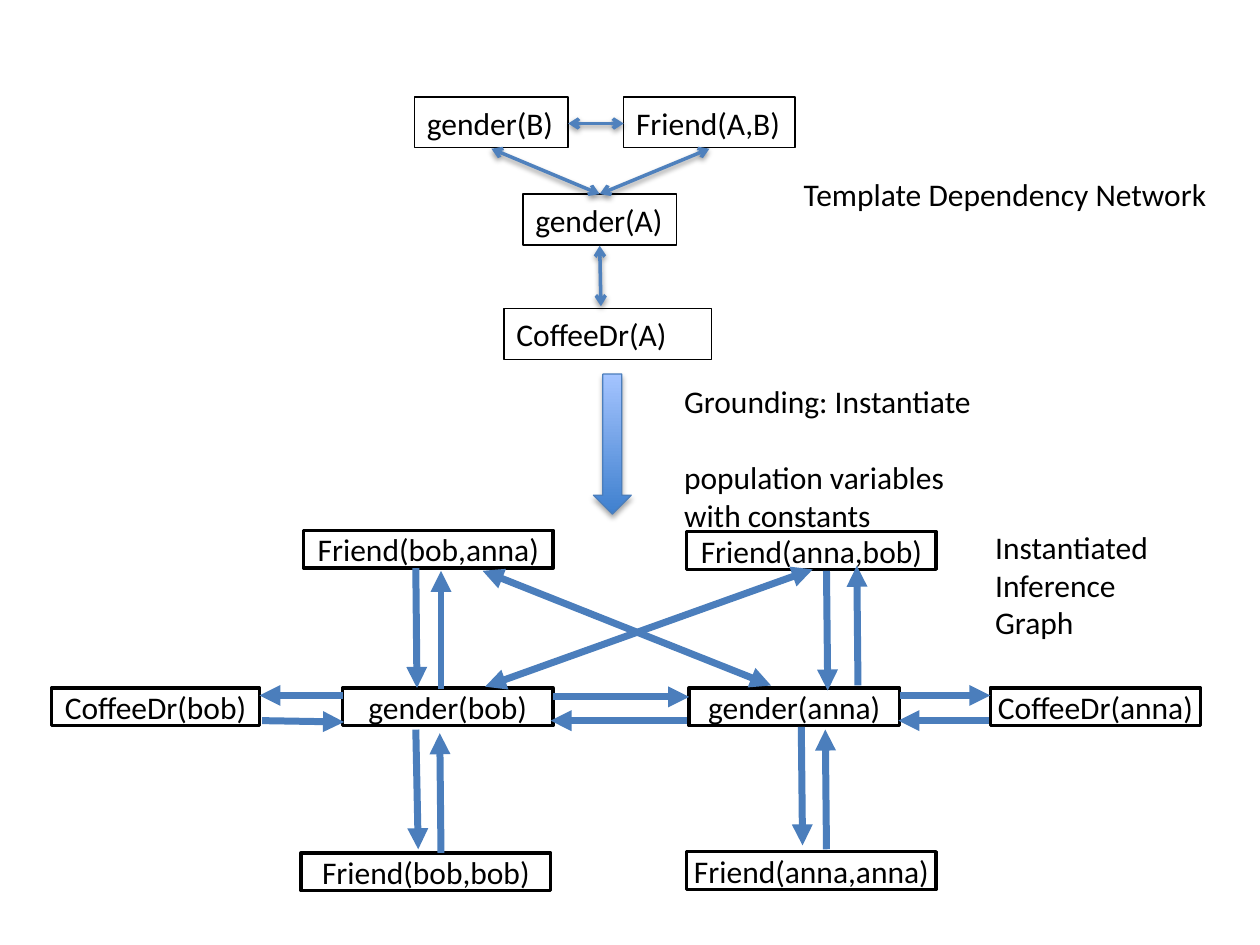
"""Build a slide showing a template dependency network grounded into an inference graph."""
import pptx
import pptx.util
from pptx.dml.color import RGBColor
from pptx.enum.shapes import MSO_CONNECTOR, MSO_SHAPE
from pptx.enum.text import MSO_ANCHOR, MSO_AUTO_SIZE, PP_ALIGN
from pptx.oxml import parse_xml
from pptx.oxml.ns import nsdecls, qn
from lxml import etree

Pt = pptx.util.Pt
BLACK = RGBColor(0, 0, 0)
BLUE = RGBColor(0x4B, 0x7E, 0xBC)
LINK_BLUE = RGBColor(0x4F, 0x81, 0xBD)
DEEP_BLUE = RGBColor(0x3F, 0x80, 0xCE)
PALE_BLUE = RGBColor(0xA4, 0xC4, 0xFF)
FONT, SIZE, LINE_GAP = "Calibri", 18, 22
TEMPLATE_HEIGHT, GROUND_HEIGHT = 29.1, 21.6

TEMPLATE_NODES = [
    ("gender(B)", 236.9, 55.4, 87.8),
    ("Friend(A,B)", 356.4, 55.4, 97.9),
    ("gender(A)", 298.8, 110.9, 87.8),
    ("CoffeeDr(A)", 288, 176.2, 118.8),
]
GROUND_NODES = [
    ("Friend(bob,anna)", 173.5, 303.1, 142.6),
    ("Friend(anna,bob)", 392.4, 303.8, 142.6),
    ("CoffeeDr(bob)", 29.5, 393.1, 118.8),
    ("gender(bob)", 195.8, 393.1, 120.2),
    ("gender(anna)", 393.8, 393.1, 120.2),
    ("CoffeeDr(anna)", 565.9, 393.1, 120.2),
    ("Friend(bob,bob)", 172.1, 487.4, 142.6),
    ("Friend(anna,anna)", 392.4, 486.7, 142.6),
]
LABELS = [
    (["Template Dependency Network"], 452.2, 96.5, 249.1, 28.8, 0),
    (["Grounding: Instantiate", "population variables\vwith constants"],
     383.8, 214.6, 181.4, 72.7, LINE_GAP),
    (["Instantiated", "Inference\vGraph"], 561.6, 298.1, 103.7, 72.7, 0),
]
TEMPLATE_LINKS = [
    (324.7, 70.6, 356.4, 70.6),
    (405.4, 85, 342.7, 110.9),
    (280.8, 85, 342.7, 110.9),
    (343.4, 175, 342.7, 140.4),
]
GROUND_ARROWS = [
    (195.8, 397.4, 148.3, 397.4),
    (149.8, 411.8, 196.6, 412.6),
    (316.1, 398.2, 393.8, 398.2),
    (392.4, 411.8, 314.6, 411.8),
    (514.1, 397.4, 565.9, 397.4),
    (565.2, 411.8, 513.4, 411.8),
    (237.6, 324.7, 238.3, 393.1),
    (252, 393.8, 252, 326.2),
    (472.3, 326.2, 473, 394.6),
    (490.3, 391.7, 489.6, 323.3),
    (237.6, 416.9, 239, 485.3),
    (252, 487.4, 251.3, 419),
    (457.9, 415.4, 458.6, 483.1),
    (472.3, 485.3, 471.6, 416.9),
]
GROUND_DOUBLE_ARROWS = [
    (464.4, 325.4, 277.2, 392.4),
    (275.8, 326.2, 440.6, 391.7),
]


def set_shadow(sp, alpha=0, dist=1.6):
    effects = parse_xml(f"<a:effectLst {nsdecls('a')}/>")
    if alpha:
        effects.append(parse_xml(
            f'<a:outerShdw {nsdecls("a")} blurRad="{Pt(3.1)}" dist="{Pt(dist)}" dir="5400000" '
            f'rotWithShape="0"><a:srgbClr val="000000"><a:alpha val="{alpha * 1000}"/>'
            '</a:srgbClr></a:outerShdw>'))
    sp._element.spPr.append(effects)


def write(sp, lines, align=PP_ALIGN.LEFT, gap=0):
    tf = sp.text_frame
    tf.word_wrap = True
    tf.auto_size = MSO_AUTO_SIZE.NONE
    tf.margin_right = 0
    tf.text = "\n".join(lines)
    for i, p in enumerate(tf.paragraphs):
        p.alignment = align
        if i and gap:
            p.space_before = Pt(gap)
        for r in p.runs:
            r.font.name, r.font.size = FONT, Pt(SIZE)
            r.font.color.rgb = BLACK


def add_node(s, node, height, weight, centred):
    text, x, y, width = node
    sp = s.shapes.add_shape(MSO_SHAPE.RECTANGLE, Pt(x), Pt(y), Pt(width), Pt(height))
    sp.shadow.inherit = False
    sp.fill.background()
    sp.line.color.rgb = BLACK
    sp.line.width = Pt(weight)
    write(sp, [text], PP_ALIGN.CENTER if centred else PP_ALIGN.LEFT)
    tf = sp.text_frame
    tf.vertical_anchor = MSO_ANCHOR.MIDDLE
    if centred:
        tf.margin_left = tf.margin_top = tf.margin_bottom = 0


def add_arrow(s, ends, color, weight, head, double, shadow=0):
    sp = s.shapes.add_connector(MSO_CONNECTOR.STRAIGHT, *[Pt(v) for v in ends])
    sp.line.color.rgb = color
    sp.line.width = Pt(weight)
    ln = sp.line._get_or_add_ln()
    for tag in ("a:headEnd", "a:tailEnd") if double else ("a:tailEnd",):
        etree.SubElement(ln, qn(tag)).set("type", head)
    set_shadow(sp, shadow)


def add_grounding_arrow(s):
    sp = s.shapes.add_shape(MSO_SHAPE.DOWN_ARROW, Pt(339.1), Pt(213.8), Pt(21.6), Pt(80))
    sp.fill.gradient()
    sp.fill.gradient_angle = 90
    for stop, color in zip(sp.fill.gradient_stops, (DEEP_BLUE, PALE_BLUE)):
        stop.color.rgb = color
    sp.line.color.rgb = BLUE
    sp.line.width = Pt(0.75)
    set_shadow(sp, 35, 1.8)


def main():
    prs = pptx.Presentation()
    prs.slide_width, prs.slide_height = Pt(720), Pt(540)
    s = prs.slides.add_slide(prs.slide_layouts[6])
    for node in GROUND_NODES:
        add_node(s, node, GROUND_HEIGHT, 2, True)
    for node in TEMPLATE_NODES:
        add_node(s, node, TEMPLATE_HEIGHT, 0.75, False)
    for ends in TEMPLATE_LINKS:
        add_arrow(s, ends, LINK_BLUE, 2, "arrow", True, 38)
    add_grounding_arrow(s)
    for lines, x, y, width, height, gap in LABELS:
        write(s.shapes.add_textbox(Pt(x), Pt(y), Pt(width), Pt(height)), lines, gap=gap)
    for ends in GROUND_DOUBLE_ARROWS:
        add_arrow(s, ends, BLUE, 4, "triangle", True)
    for ends in GROUND_ARROWS:
        add_arrow(s, ends, BLUE, 4, "triangle", False)
    prs.save("out.pptx")


if __name__ == "__main__":
    main()
